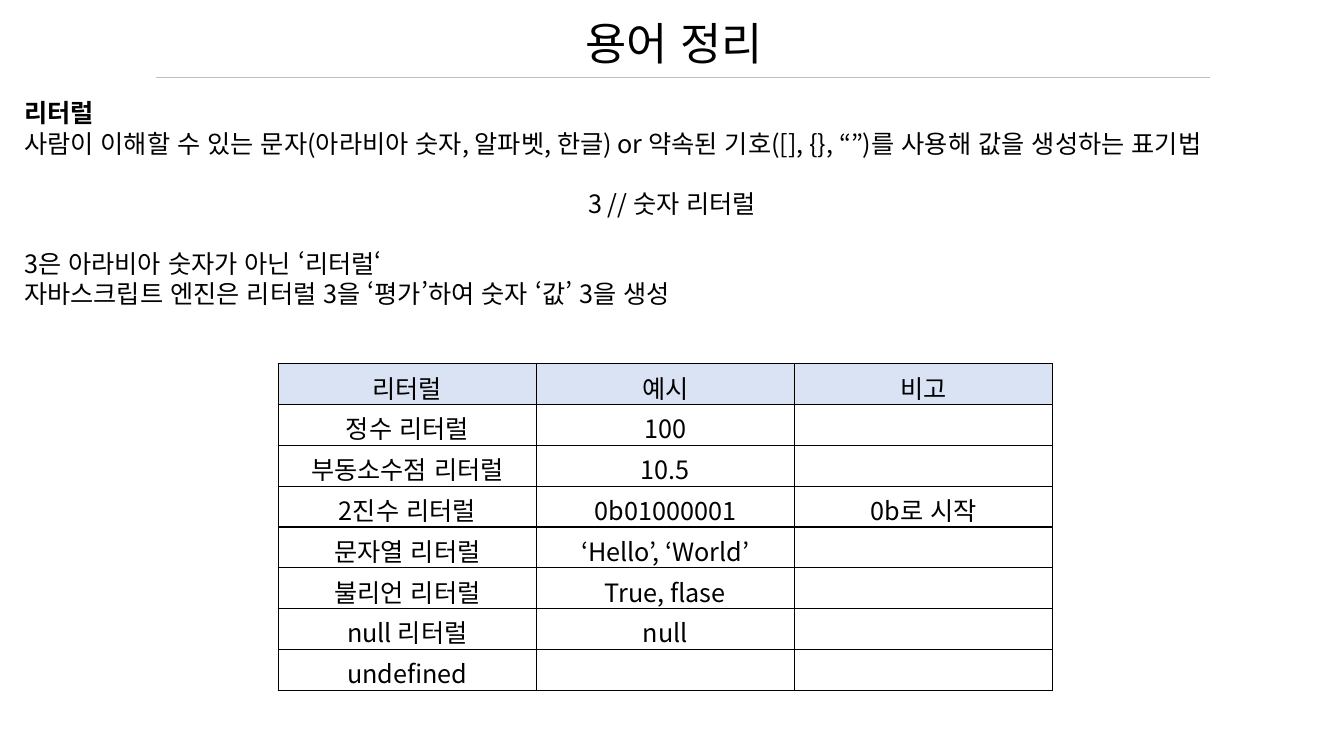
from lxml.etree import SubElement
from pptx import Presentation
from pptx.dml.color import RGBColor
from pptx.enum.lang import MSO_LANGUAGE_ID as Language
from pptx.enum.shapes import MSO_CONNECTOR as Connector
from pptx.enum.text import MSO_ANCHOR as Anchor, MSO_AUTO_SIZE as AutoSize, PP_ALIGN as Align
from pptx.oxml.ns import qn
from pptx.util import Inches, Pt

FONT = "Noto Sans CJK KR"
BLANK_LINE = 21.5
DEFINITION = [
    ("리터럴", True, Align.LEFT, 0),
    ("사람이 이해할 수 있는 문자(아라비아 숫자, 알파벳, 한글) or 약속된 기호([], {}, “”)를 "
     "사용해 값을 생성하는 표기법", False, Align.LEFT, 0),
    ("3 // 숫자 리터럴", False, Align.CENTER, BLANK_LINE),
    ("3은 아라비아 숫자가 아닌 ‘리터럴‘", False, Align.LEFT, BLANK_LINE),
    ("자바스크립트 엔진은 리터럴 3을 ‘평가’하여 숫자 ‘값’ 3을 생성", False, Align.LEFT, 0),
]
LITERALS = [
    ("리터럴", "예시", "비고"),
    ("정수 리터럴", "100", ""),
    ("부동소수점 리터럴", "10.5", ""),
    ("2진수 리터럴", "0b01000001", "0b로 시작"),
    ("문자열 리터럴", "‘Hello’, ‘World’", ""),
    ("불리언 리터럴", "True, flase", ""),
    ("null 리터럴", "null", ""),
    ("undefined", "", ""),
]


def color(value):
    """Turn a hex string into a colour."""
    return RGBColor.from_string(value)


def add_text(paragraph, text, size=18, bold=False, align=Align.CENTER):
    """Add one formatted run to a paragraph."""
    paragraph.alignment = align
    run = paragraph.add_run()
    run.text = text
    font = run.font
    font.name, font.size, font.bold = FONT, Pt(size), bold
    font.color.rgb = color("000000")
    font.language_id = Language.KOREAN
    SubElement(font._element, qn("a:ea"), typeface=FONT)


def add_border(cell, value="000000", width=1):
    """Draw a solid line on all four sides of a cell."""
    properties = cell._tc.get_or_add_tcPr()
    for position, side in enumerate(("lnL", "lnR", "lnT", "lnB")):
        line = SubElement(properties, qn(f"a:{side}"), w=str(Pt(width)))
        fill = SubElement(line, qn("a:solidFill"))
        SubElement(fill, qn("a:srgbClr"), val=value)
        properties.insert(position, line)


def add_title(slide, left, top, width, height):
    """Place the slide title and the rule below it."""
    title = slide.shapes.title
    title.left, title.top = Inches(left), Inches(top)
    title.width, title.height = Inches(width), Inches(height)
    frame = title.text_frame
    frame.auto_size = AutoSize.NONE
    frame.vertical_anchor = Anchor.MIDDLE
    add_text(frame.paragraphs[0], "용어 정리", size=32)

    rule_top = Inches(top + height + 0.03)
    rule = slide.shapes.add_connector(
        Connector.STRAIGHT, Inches(left + 0.18), rule_top, Inches(left + width), rule_top)
    rule.line.color.rgb = color("BFBFBF")
    rule.line.width = Pt(0.5)
    SubElement(rule._element.spPr, qn("a:effectLst"))


def add_definition(slide, left, top, width, height):
    """Write the explanation of the term."""
    box = slide.shapes.add_textbox(Inches(left), Inches(top), Inches(width), Inches(height))
    frame = box.text_frame
    frame.word_wrap = True
    for index, (text, bold, align, gap) in enumerate(DEFINITION):
        paragraph = frame.add_paragraph() if index else frame.paragraphs[0]
        paragraph.space_before = Pt(gap)
        add_text(paragraph, text, bold=bold, align=align)


def add_literal_table(slide, left, top, width, height):
    """Build the table of literals with a tinted header row."""
    table = slide.shapes.add_table(
        len(LITERALS), len(LITERALS[0]),
        Inches(left), Inches(top), Inches(width), Inches(height)).table
    for row, texts in enumerate(LITERALS):
        for column, text in enumerate(texts):
            cell = table.cell(row, column)
            if row == 0:
                cell.fill.solid()
                cell.fill.fore_color.rgb = color("DAE3F3")
            else:
                cell.fill.background()
            add_border(cell)
            if text:
                add_text(cell.text_frame.paragraphs[0], text)


def main():
    """Build and save the presentation."""
    presentation = Presentation()
    presentation.slide_width = Inches(13.33)
    presentation.slide_height = Inches(7.5)
    slide = presentation.slides.add_slide(presentation.slide_layouts[5])
    add_title(slide, 1.37, 0.1, 10.63, 0.64)
    add_definition(slide, 0.14, 0.92, 13.05, 2.83)
    add_literal_table(slide, 2.76, 3.61, 7.68, 3.24)
    presentation.save("out.pptx")


if __name__ == "__main__":
    main()
